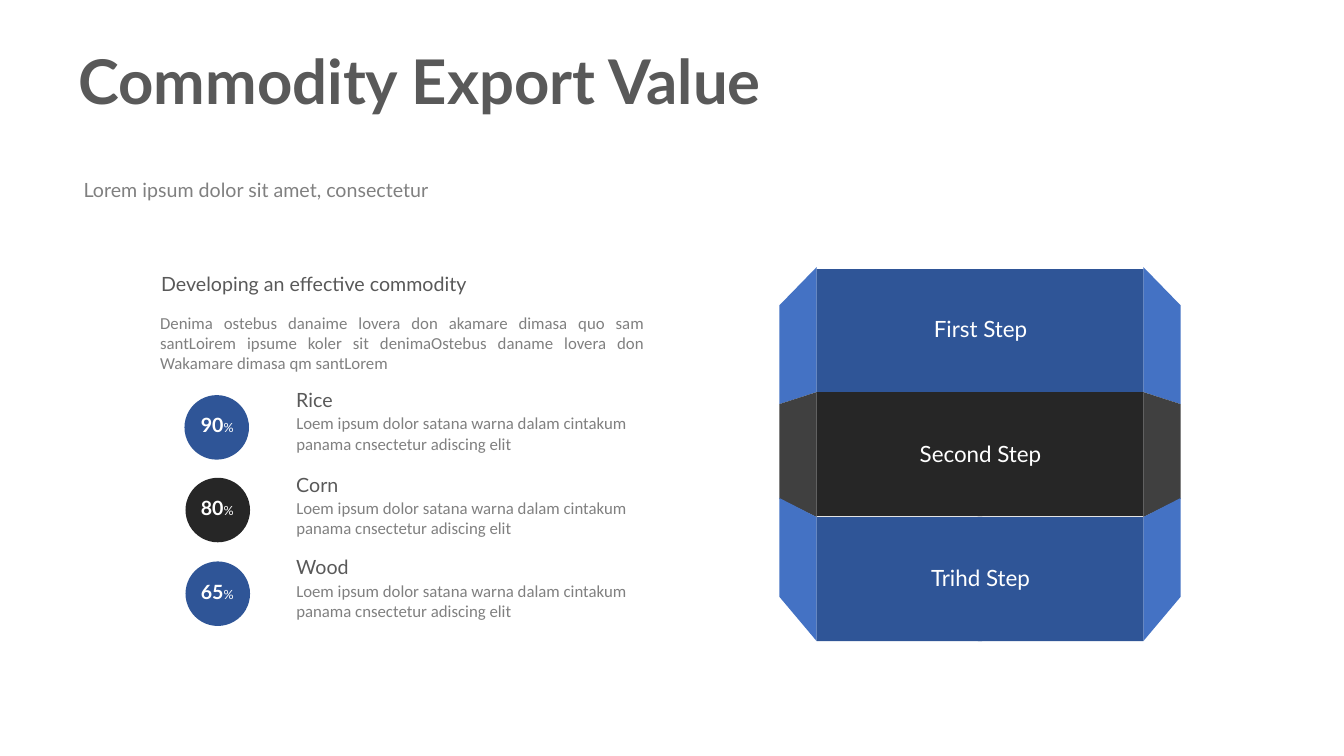
from dataclasses import dataclass
from math import cos, pi, sin

from pptx import Presentation
from pptx.dml.color import RGBColor
from pptx.enum.shapes import MSO_SHAPE as Preset
from pptx.enum.text import MSO_AUTO_SIZE as AutoSize, PP_ALIGN as Align
from pptx.util import Emu, Pt

EMU_PER_PX = 9144
BLUE, LIGHT_BLUE = "2F5597", "4472C4"
BLACK, CHARCOAL = "262626", "404040"
DARK_GREY, GREY, WHITE = "595959", "808080", "FFFFFF"

OUTER_X, PANEL_X, ARC_X, TIP_X = 773, 810, 974, 1027
MIRROR_SUM = 1944
ARC_STEPS = 24
CIRCLE_SIZE = 64

Point = tuple[int, int]


@dataclass(frozen=True)
class Commodity:
    name: str
    percent: str
    name_top: int
    circle_left: int
    circle_top: int
    color: str


@dataclass(frozen=True)
class Step:
    label: str
    label_top: int
    top: int
    bottom: int
    color: str
    side_color: str
    inner_top: int
    inner_bottom: int
    outer_top: int
    outer_bottom: int


COMMODITIES = [
    Commodity("Rice", "90", 380, 183, 392, BLUE),
    Commodity("Corn", "80", 464, 184, 474, BLACK),
    Commodity("Wood", "65", 546, 184, 557, BLUE),
]
STEPS = [
    Step("First Step", 308, 267, 390, BLUE, LIGHT_BLUE, 265, 389, 303, 401),
    Step("Second Step", 432, 389, 512, BLACK, CHARCOAL, 389, 513, 401, 495),
    Step("Trihd Step", 555, 513, 636, BLUE, LIGHT_BLUE, 513, 636, 494, 592),
]
COMMODITY_TEXT = (
    "Loem ipsum dolor satana warna dalam cintakum "
    "panama cnsectetur adiscing elit"
)
INTRO_TEXT = (
    "Denima ostebus danaime lovera don akamare dimasa quo sam "
    "santLoirem ipsume koler sit denimaOstebus daname lovera don "
    "Wakamare dimasa qm santLorem"
)


def px(length: int) -> Emu:
    return Emu(length * EMU_PER_PX)


def rgb(color: str) -> RGBColor:
    return RGBColor.from_string(color)


def add_span(para, text: str, *, size: int, color: str,
             font: str = "Lato", bold: bool = False) -> None:
    span = para.add_run()
    span.text = text
    span.font.name = font
    span.font.size = Pt(size)
    span.font.bold = bold
    span.font.color.rgb = rgb(color)


def add_text(page, text: str, left: int, top: int, width: int, height: int, *,
             align: Align = Align.LEFT, wrap: bool = True,
             line_points: int | None = None, **span_format):
    box = page.shapes.add_textbox(px(left), px(top), px(width), px(height))
    box.text_frame.word_wrap = wrap
    box.text_frame.auto_size = AutoSize.SHAPE_TO_FIT_TEXT
    para = box.text_frame.paragraphs[0]
    para.alignment = align
    if line_points:
        para.line_spacing = Pt(line_points)
    add_span(para, text, **span_format)
    return para


def paint(shape, color: str) -> None:
    shape.shadow.inherit = False
    shape.fill.solid()
    shape.fill.fore_color.rgb = rgb(color)
    shape.line.fill.background()


def add_polygon(page, points: list[Point], color: str) -> None:
    builder = page.shapes.build_freeform(*points[0], scale=EMU_PER_PX)
    builder.add_line_segments(points[1:], close=True)
    paint(builder.convert_to_shape(), color)


def mirror(points: list[Point]) -> list[Point]:
    return [(MIRROR_SUM - x, y) for x, y in points]


def panel_points(step: Step) -> list[Point]:
    radius_x = TIP_X - ARC_X
    radius_y = (step.bottom - step.top) / 2
    angles = [pi * (i / ARC_STEPS - 0.5) for i in range(ARC_STEPS + 1)]
    arc = [
        (round(ARC_X + radius_x * cos(angle)),
         round(step.top + radius_y * (1 + sin(angle))))
        for angle in angles
    ]
    return [(PANEL_X, step.bottom), (PANEL_X, step.top), *arc]


def add_step(page, step: Step) -> None:
    side = [
        (PANEL_X, step.inner_top),
        (PANEL_X, step.inner_bottom),
        (OUTER_X, step.outer_bottom),
        (OUTER_X, step.outer_top),
    ]
    panel = panel_points(step)
    for points, color in ((side, step.side_color), (panel, step.color)):
        add_polygon(page, points, color)
        add_polygon(page, mirror(points), color)


def add_commodity(page, item: Commodity) -> None:
    add_text(page, item.name, 284, item.name_top, 80, 34,
             wrap=False, size=14, color=DARK_GREY)
    add_text(page, COMMODITY_TEXT, 284, item.name_top + 25, 378, 50,
             size=12, color=GREY, font="Calibri")
    circle = page.shapes.add_shape(
        Preset.OVAL, px(item.circle_left), px(item.circle_top),
        px(CIRCLE_SIZE), px(CIRCLE_SIZE))
    paint(circle, item.color)
    para = add_text(page, item.percent, 170, item.circle_top + 13, 91, 34,
                    align=Align.CENTER, size=14, color=WHITE, bold=True)
    add_span(para, "%", size=9, color=WHITE)


def main() -> None:
    deck = Presentation()
    deck.slide_width, deck.slide_height = px(1333), px(750)
    page = deck.slides.add_slide(deck.slide_layouts[6])

    add_text(page, "Commodity Export Value", 68, 55, 958, 66,
             line_points=40, size=44, color=DARK_GREY, bold=True)
    add_text(page, "Lorem ipsum dolor sit amet, consectetur", 73, 172, 425, 57,
             size=14, color=GREY)
    add_text(page, INTRO_TEXT, 149, 305, 500, 71,
             align=Align.JUSTIFY, size=12, color=GREY, font="Calibri")
    add_text(page, "Developing an effective commodity", 150, 265, 416, 34,
             wrap=False, size=14, color=DARK_GREY)

    for item in COMMODITIES:
        add_commodity(page, item)
    for step in STEPS:
        add_step(page, step)
    for step in STEPS:
        add_text(page, step.label, 870, step.label_top, 205, 37,
                 align=Align.CENTER, size=16, color=WHITE)

    deck.save("out.pptx")


if __name__ == "__main__":
    main()
